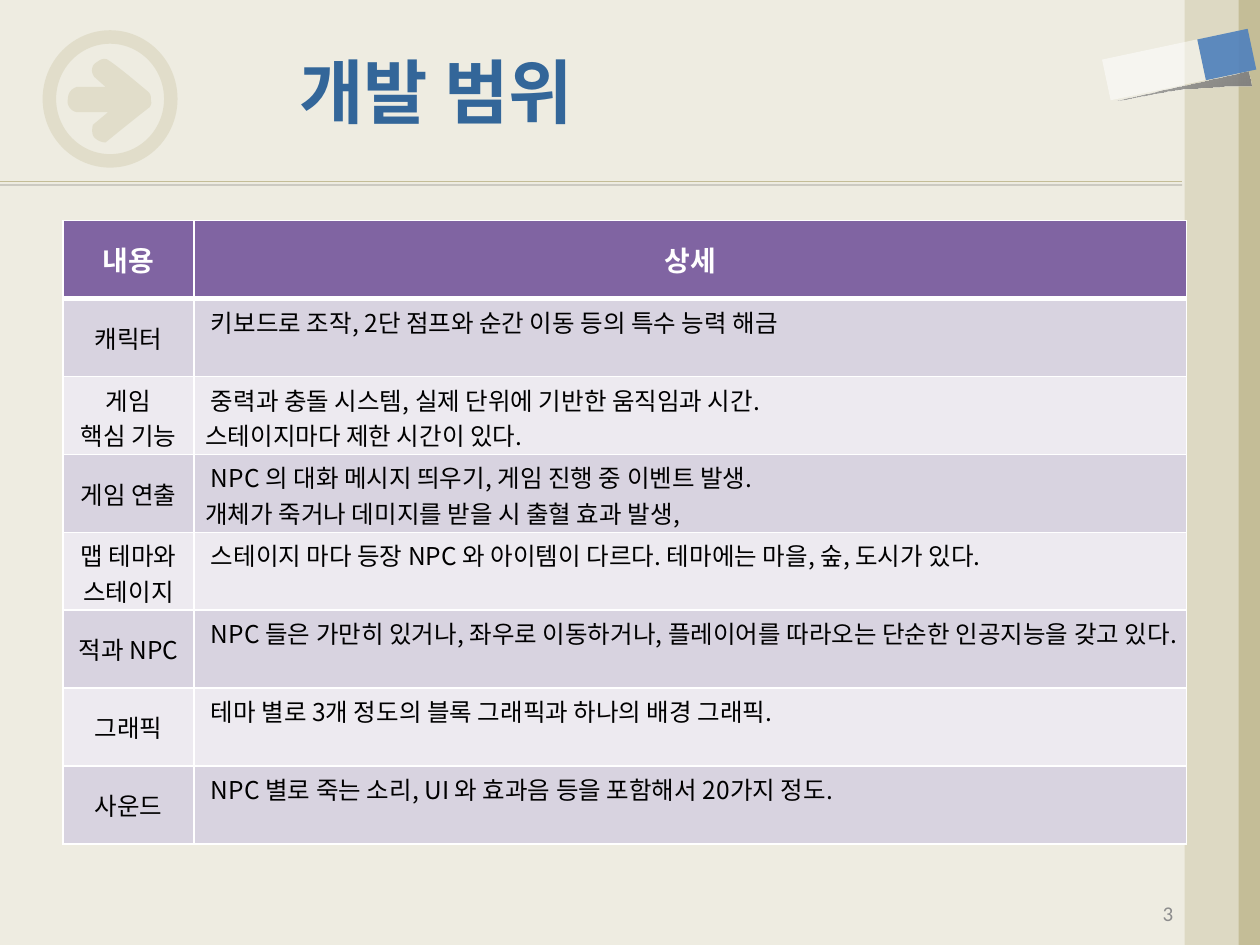
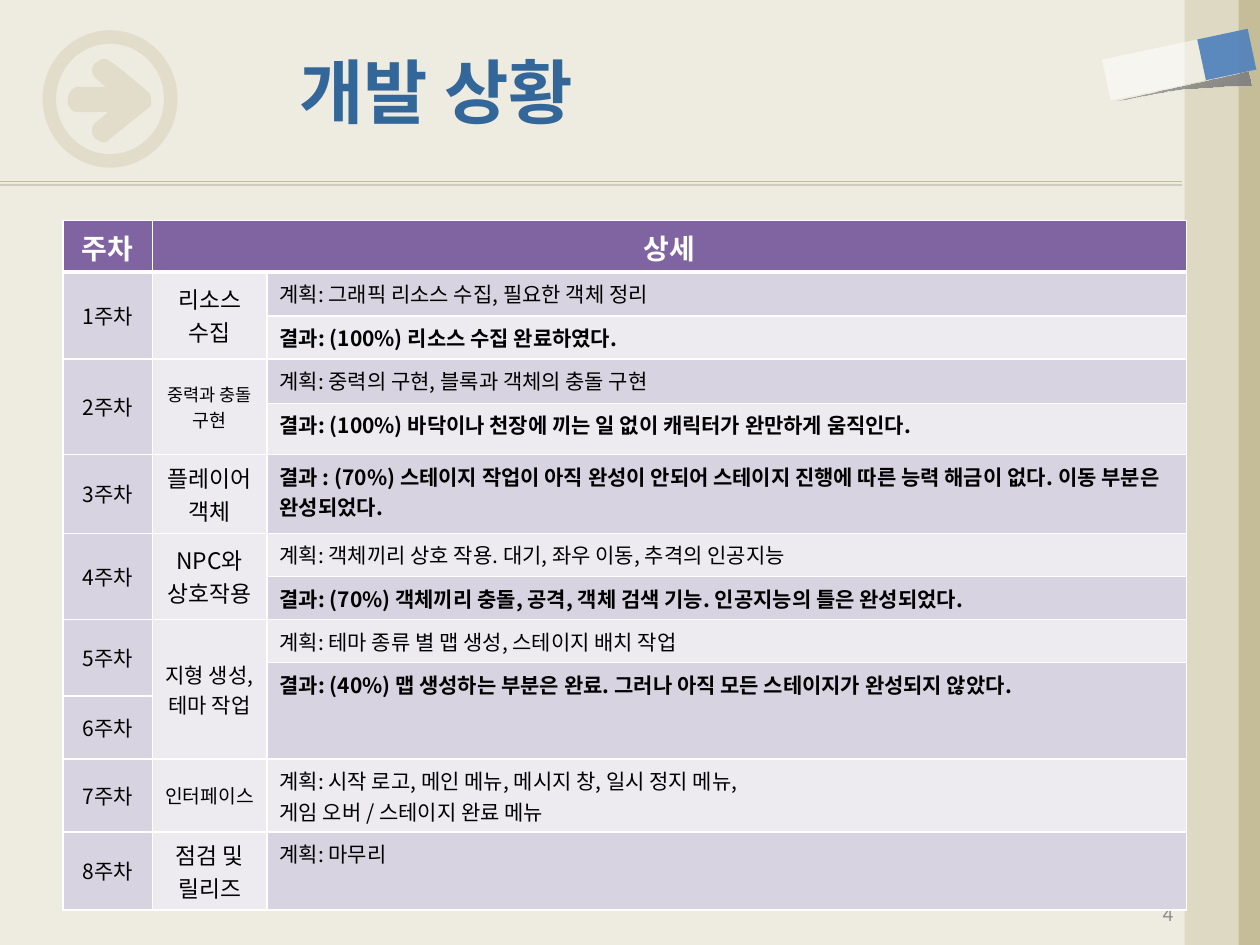
from lxml.etree import SubElement
from pptx import Presentation
from pptx.dml.color import RGBColor
from pptx.enum.shapes import MSO_CONNECTOR, MSO_SHAPE
from pptx.enum.text import MSO_ANCHOR, MSO_AUTO_SIZE, PP_ALIGN
from pptx.oxml import parse_xml
from pptx.oxml.ns import nsdecls, qn
from pptx.util import Cm, Pt

FACE = "Noto Sans CJK KR"
PAPER, SAND, TAN = "EEECE1", "DDD9C3", "C4BD97"
BLUE, STEEL, GREY = "4F81BD", "336699", "808080"
WHITE, BLACK, MUTED = "FFFFFF", "000000", "8C8C8C"
PURPLE, DARK, LIGHT = "8064A2", "D8D3E0", "EDEAF0"
UNIT = Cm(2.54) / 100

ARROW = [(84, 49), (78, 44, 58, 27, 51, 23), (47, 22, 45, 24, 42, 26),
         (39, 28, 38, 33, 41, 37), (50, 45), (27, 45),
         (21, 47, 20, 52, 20, 55), (19, 59, 22, 64, 27, 65), (52, 65),
         (40, 75), (39, 78, 39, 83, 41, 85), (43, 87, 46, 89, 50, 89),
         (67, 75, 85, 61, 85, 61), (87, 58, 86, 57, 86, 55),
         (86, 53, 86, 51, 84, 49)]
FLAP = [(105, 40), (108, 52), (43, 51, 30, 59, 0, 63),
        (35, 55, 70, 48, 105, 40)]

SCOPE = [
    ("내용", "상세"),
    ("캐릭터", " 키보드로 조작, 2단 점프와 순간 이동 등의 특수 능력 해금"),
    ("게임\n핵심 기능", " 중력과 충돌 시스템, 실제 단위에 기반한 움직임과 시간.\n"
     "스테이지마다 제한 시간이 있다."),
    ("게임 연출", " NPC 의 대화 메시지 띄우기, 게임 진행 중 이벤트 발생.\n"
     "개체가 죽거나 데미지를 받을 시 출혈 효과 발생,"),
    ("맵 테마와\n스테이지", " 스테이지 마다 등장 NPC 와 아이템이 다르다. "
     "테마에는 마을, 숲, 도시가 있다."),
    ("적과 NPC", " NPC 들은 가만히 있거나, 좌우로 이동하거나, "
     "플레이어를 따라오는 단순한 인공지능을 갖고 있다."),
    ("그래픽", " 테마 별로 3개 정도의 블록 그래픽과 하나의 배경 그래픽."),
    ("사운드", " NPC 별로 죽는 소리, UI 와 효과음 등을 포함해서 20가지 정도."),
]
HEIGHTS = [1.03, 0.89, 0.87, 0.89, 1.03, 1.59, 0.87, 0.87, 0.87, 0.67,
           1.27, 1.47, 1.57]
WEEKS = [(1, 2), (3, 2), (5, 1), (6, 2), (8, 2), (10, 1), (11, 1), (12, 1)]
TASKS = [(1, 2, "리소스 수집", 13), (3, 2, "중력과 충돌\n구현", 10),
         (5, 1, "플레이어\n객체", 13), (6, 2, "NPC와\n상호작용", 13),
         (8, 3, "지형 생성, 테마 작업", 12), (11, 1, "인터페이스", 11),
         (12, 1, "점검 및\n릴리즈", 13)]
NOTES = [
    (1, 1, "계획: 그래픽 리소스 수집, 필요한 객체 정리"),
    (2, 1, "결과: (100%) 리소스 수집 완료하였다."),
    (3, 1, "계획: 중력의 구현, 블록과 객체의 충돌 구현"),
    (4, 1, "결과: (100%) 바닥이나 천장에 끼는 일 없이 캐릭터가 완만하게 움직인다."),
    (5, 1, "결과 : (70%) 스테이지 작업이 아직 완성이 안되어 스테이지 진행에 따른 "
     "능력 해금이 없다. 이동 부분은 완성되었다."),
    (6, 1, "계획: 객체끼리 상호 작용. 대기, 좌우 이동, 추격의 인공지능"),
    (7, 1, "결과: (70%) 객체끼리 충돌, 공격, 객체 검색 기능. "
     "인공지능의 틀은 완성되었다."),
    (8, 1, "계획: 테마 종류 별 맵 생성, 스테이지 배치 작업"),
    (9, 2, "결과: (40%) 맵 생성하는 부분은 완료. "
     "그러나 아직 모든 스테이지가 완성되지 않았다."),
    (11, 1, "계획: 시작 로고, 메인 메뉴, 메시지 창, 일시 정지 메뉴,\n"
     "게임 오버 / 스테이지 완료 메뉴"),
    (12, 1, "계획: 마무리"),
]


def paint(fmt, hue):
    """Give a fill one solid colour."""
    fmt.solid()
    fmt.fore_color.rgb = RGBColor.from_string(hue)


def style(shape, hue, alpha=100):
    """Fill a shape plainly, with no line or shadow."""
    paint(shape.fill, hue)
    shape.line.fill.background()
    shape.shadow.inherit = False
    if alpha < 100:
        tone = shape.element.spPr.find(qn("a:solidFill"))[0]
        SubElement(tone, qn("a:alpha"), val=str(alpha * 1000))


def block(shapes, kind, box, hue, alpha=100, turn=0):
    """Add a preset shape in a box of centimetres."""
    shape = shapes.add_shape(kind, *map(Cm, box))
    style(shape, hue, alpha)
    shape.rotation = turn
    return shape


def outline(shapes, left, top, steps, hue, alpha=100):
    """Trace lines and sampled Bezier curves from a corner."""
    spots = [steps[0]]
    for step in steps[1:]:
        if len(step) == 2:
            spots.append(step)
            continue
        start, (a, b, c, d, e, f) = spots[-1], step
        for i in range(1, 9):
            t = i / 8
            u = 1 - t
            spots.append(tuple(
                u**3 * p + 3 * u * u * t * q + 3 * u * t * t * r + t**3 * s
                for p, q, r, s in zip(start, (a, b), (c, d), (e, f))))
    spots = [(Cm(left) + x * UNIT, Cm(top) + y * UNIT) for x, y in spots]
    pen = shapes.build_freeform(*spots[0])
    pen.add_line_segments(spots[1:], close=True)
    shape = pen.convert_to_shape()
    style(shape, hue, alpha)
    return shape


def badge(shapes, left, top):
    """Place the ringed arrow."""
    outline(shapes, left, top, ARROW, TAN, 30)
    ring = block(shapes, MSO_SHAPE.DONUT, (left, top, 2.72, 2.77), TAN, 30)
    ring.adjustments[0] = 0.1


def clip(shapes, left, top):
    """Place the tilted two-tone tape and its shade."""
    shade = outline(shapes, left, top, FLAP, GREY)
    solid = shade.element.spPr.find(qn("a:solidFill"))
    solid.getparent().replace(solid, parse_xml(
        f'<a:gradFill {nsdecls("a")}><a:gsLst>'
        f'<a:gs pos="0"><a:srgbClr val="{GREY}"/></a:gs>'
        f'<a:gs pos="100000"><a:srgbClr val="{GREY}"><a:alpha val="56000"/>'
        '</a:srgbClr></a:gs></a:gsLst><a:path path="circle">'
        '<a:fillToRect l="100000" t="100000"/></a:path></a:gradFill>'))
    rect = MSO_SHAPE.RECTANGLE
    block(shapes, rect, (left + 1.83, top + 0.15, 0.84, 1.04), BLUE, 90, 78)
    block(shapes, rect, (left + 0.36, top, 0.84, 1.96), WHITE, 50, 78)


def rule(shapes, top, width):
    """Draw the line under the heading with its faint shade."""
    line = shapes.add_connector(
        MSO_CONNECTOR.STRAIGHT, 0, Cm(top), Cm(width), Cm(top))
    line.line.color.rgb = RGBColor.from_string(TAN)
    line.line.width = Pt(0.75)
    line.element.spPr.append(parse_xml(
        f'<a:effectLst {nsdecls("a")}><a:outerShdw blurRad="0" dist="25400" '
        f'dir="5400000"><a:srgbClr val="{BLACK}"><a:alpha val="22000"/>'
        '</a:srgbClr></a:outerShdw></a:effectLst>'))


def dress(layout, slide):
    """Build the shared scenery and hand it to the layout."""
    paint(layout.background.fill, PAPER)
    shapes = slide.shapes
    rule(shapes, 3.66, 23.83)
    badge(shapes, 0.86, 0.61)
    block(shapes, MSO_SHAPE.RECTANGLE, (23.9, 0, 1.5, 19.05), TAN)
    block(shapes, MSO_SHAPE.RECTANGLE, (23.88, 0, 1.09, 19.05), SAND)
    clip(shapes, 22.48, 0.43)
    parts = [s for s in shapes if not s.is_placeholder]
    for i, part in enumerate(parts):
        part.element.xpath(".//p:cNvPr")[0].set("id", str(20 + i))
        layout.shapes.element.insert(2 + i, part.element)


def write(frame, text, size, hue, bold=False, align=PP_ALIGN.LEFT, face=FACE):
    """Set text and format every run."""
    frame.text = text
    for para in frame.paragraphs:
        para.alignment = align
        for run in para.runs:
            font = run.font
            font.name, font.size, font.bold = face, Pt(size), bold
            font.color.rgb = RGBColor.from_string(hue)


def head(slide, text, number):
    """Fill the title and the page number."""
    title = slide.shapes.title
    title.left, title.top = Cm(3.25), Cm(0.74)
    title.width, title.height = Cm(18.9), Cm(2.18)
    frame = title.text_frame
    frame.auto_size = MSO_AUTO_SIZE.NONE
    frame.vertical_anchor = MSO_ANCHOR.MIDDLE
    frame.margin_left = Cm(2.79)
    write(frame, text, 40, STEEL, True)
    page = slide.shapes.add_textbox(Cm(17.98), Cm(17.98), Cm(5.92), Cm(0.84))
    page.text_frame.word_wrap = True
    page.text_frame.vertical_anchor = MSO_ANCHOR.MIDDLE
    write(page.text_frame, str(number), 12, MUTED, False, PP_ALIGN.RIGHT,
          "Calibri")


def grid(slide, box, cols, rows):
    """Add a table with white borders, thick under the header."""
    left, top = box
    frame = slide.shapes.add_table(
        len(rows), len(cols), Cm(left), Cm(top), Cm(sum(cols)), Cm(sum(rows)))
    table = frame.table
    for col, width in zip(table.columns, cols):
        col.width = Cm(width)
    for row, height in zip(table.rows, rows):
        row.height = Cm(height)
    for i, row in enumerate(frame.element.iter(qn("a:tr"))):
        for cell in row.iter(qn("a:tc")):
            for k, side in enumerate("LRTB"):
                thick = (i, side) in ((0, "B"), (1, "T"))
                cell.get_or_add_tcPr().insert(k, parse_xml(
                    f'<a:ln{side} {nsdecls("a")} w="{Pt(3 if thick else 1)}">'
                    f'<a:solidFill><a:srgbClr val="{WHITE}"/></a:solidFill>'
                    f'</a:ln{side}>'))
    return table


def put(table, row, col, text, size, hue, span=(1, 1), ink=BLACK,
        bold=False, mid=True):
    """Fill one cell, merged over its span of rows and columns."""
    cell = table.cell(row, col)
    for i in range(row, row + span[0]):
        for j in range(col, col + span[1]):
            paint(table.cell(i, j).fill, hue)
    if span != (1, 1):
        cell.merge(table.cell(row + span[0] - 1, col + span[1] - 1))
    cell.vertical_anchor = MSO_ANCHOR.MIDDLE if mid else MSO_ANCHOR.TOP
    write(cell.text_frame, text, size, ink, bold,
          PP_ALIGN.CENTER if mid else PP_ALIGN.LEFT)
    return cell


def scope(slide, box):
    """Lay out the scope table."""
    table = grid(slide, box, [2.64, 20.01], [1.57] * len(SCOPE))
    for i, pair in enumerate(SCOPE):
        for j, text in enumerate(pair):
            if i == 0:
                cell = put(table, i, j, text, 16, PURPLE, ink=WHITE, bold=True)
            else:
                cell = put(table, i, j, text, 14, DARK if i % 2 else LIGHT,
                           mid=j == 0)
            cell.margin_left = cell.margin_right = Cm(0.23)
            cell.margin_top = cell.margin_bottom = Cm(0.1)


def status(slide, box):
    """Lay out the weekly status table."""
    table = grid(slide, box, [1.8, 2.31, 18.54], HEIGHTS)
    put(table, 0, 0, "주차", 16, PURPLE, ink=WHITE, bold=True)
    put(table, 0, 1, "상세", 16, PURPLE, (1, 2), WHITE, True)
    for i, (row, span) in enumerate(WEEKS, 1):
        put(table, row, 0, f"{i}주차", 12, DARK, (span, 1))
    for row, span, text, size in TASKS:
        put(table, row, 1, text, size, LIGHT, (span, 1))
    table.cell(3, 1).text_frame.paragraphs[1].runs[0].font.size = Pt(10.5)
    for i, (row, span, text) in enumerate(NOTES):
        put(table, row, 2, text, 12, LIGHT if i % 2 else DARK, (span, 1),
            bold=text.startswith("결과"), mid=False)


def main():
    """Build and save the deck."""
    deck = Presentation()
    deck.slide_width, deck.slide_height = Cm(25.4), Cm(19.05)
    layout = deck.slide_layouts[5]
    pages = [("개발 범위", scope), ("개발 상황", status)]
    for number, (text, body) in enumerate(pages, 3):
        slide = deck.slides.add_slide(layout)
        if number == 3:
            dress(layout, slide)
        head(slide, text, number)
        body(slide, (1.27, 4.45))
        for latin in list(slide.element.iter(qn("a:latin"))):
            east = parse_xml(f'<a:ea {nsdecls("a")} typeface="{FACE}"/>')
            latin.addnext(east)
    deck.save("out.pptx")


if __name__ == "__main__":
    main()
